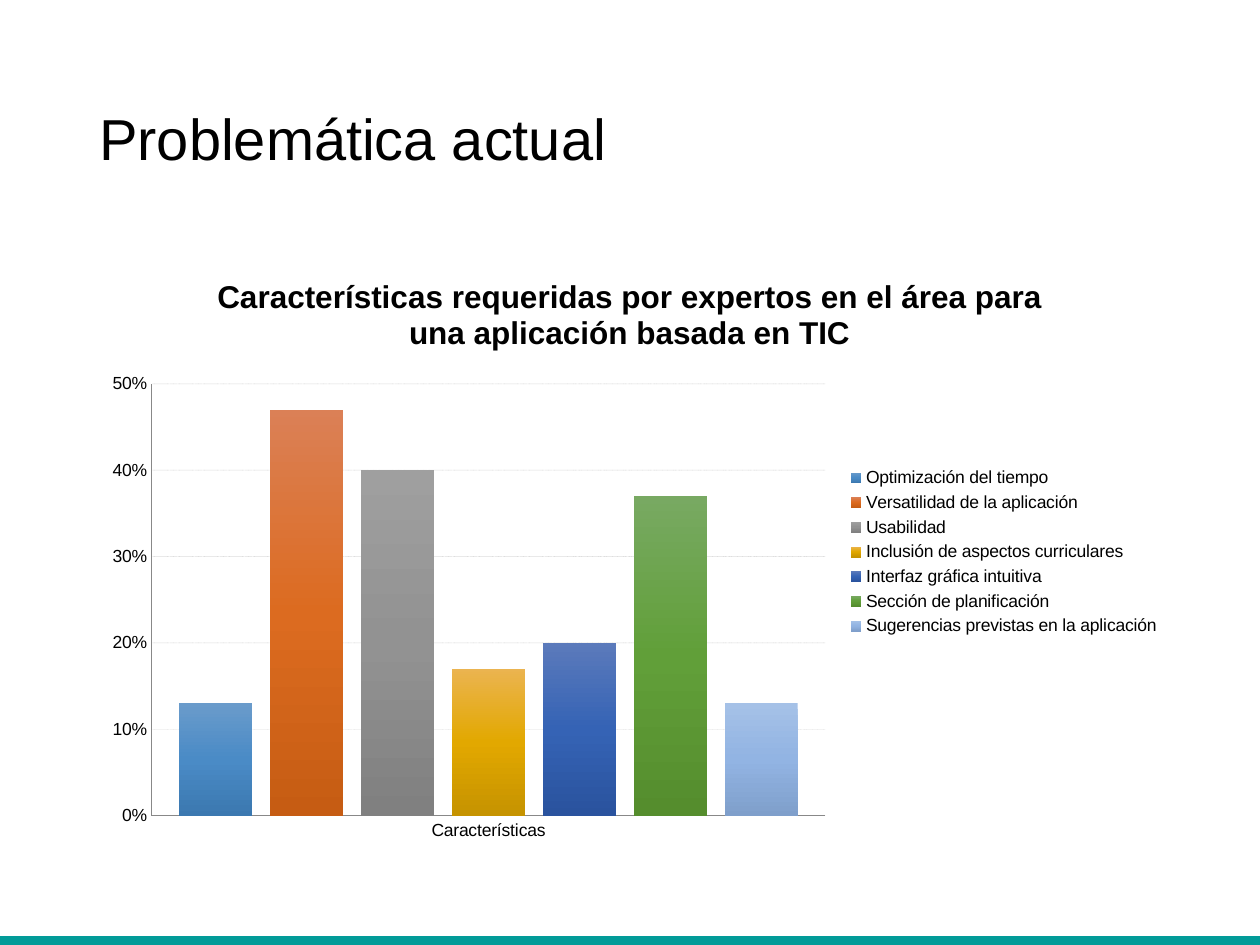
from dataclasses import dataclass

from lxml import etree
from pptx import Presentation, util as u
from pptx.chart import data as chart_data
from pptx.dml import color
from pptx.enum import chart as ce, dml, shapes, text
from pptx.oxml import parse_xml
from pptx.oxml.ns import nsdecls, qn

FONT = "Arial"
BLACK = "000000"
AXIS_GRAY = "888888"
TEAL = "029B98"


@dataclass
class Feature:
    name: str
    share: float
    top: str
    middle: str
    bottom: str


FEATURES = [
    Feature("Optimización del tiempo", 0.13, "6A9BCB", "4A8BC6", "3B78B0"),
    Feature("Versatilidad de la aplicación", 0.47, "DB8056", "DC6B20", "C65C13"),
    Feature("Usabilidad", 0.4, "9F9F9F", "929292", "808080"),
    Feature("Inclusión de aspectos curriculares", 0.17, "EBB450", "E2A800", "C69300"),
    Feature("Interfaz gráfica intuitiva", 0.2, "5B7ABB", "3563B5", "2A539E"),
    Feature("Sección de planificación", 0.37, "78A962", "619F39", "558D2D"),
    Feature("Sugerencias previstas en la aplicación", 0.13, "A5C1E7", "92B4E3", "7F9FCB"),
]


def rgb(value: str) -> color.RGBColor:
    return color.RGBColor.from_string(value)


def style_font(font, size: float, bold: bool = False) -> None:
    font.name = FONT
    font.size = u.Pt(size)
    font.bold = bold
    font.color.rgb = rgb(BLACK)


def place(shape, left: float, top: float, width: float, height: float) -> None:
    shape.left, shape.top = u.Pt(left), u.Pt(top)
    shape.width, shape.height = u.Pt(width), u.Pt(height)


def fill_gradient(series, feature: Feature) -> None:
    """Fill the column from top to bottom with three colours."""
    fill = series.format.fill
    fill.gradient()
    fill.gradient_angle = 270
    stops = series._element.find(".//" + qn("a:gsLst"))
    for stop in list(stops):
        stops.remove(stop)
    for position, value in enumerate((feature.top, feature.middle, feature.bottom)):
        stop = etree.SubElement(stops, qn("a:gs"), pos=str(position * 50000))
        etree.SubElement(stop, qn("a:srgbClr"), val=value)


def set_plot_area(chart, left: float, top: float, width: float, height: float) -> None:
    """Fix the inner plot area, in fractions of the chart."""
    plot_area = chart._chartSpace.chart.plotArea
    for old in plot_area.findall(qn("c:layout")):
        plot_area.remove(old)
    plot_area.insert(0, parse_xml(
        f'<c:layout {nsdecls("c")}><c:manualLayout><c:layoutTarget val="inner"/>'
        '<c:xMode val="edge"/><c:yMode val="edge"/>'
        f'<c:x val="{left}"/><c:y val="{top}"/><c:w val="{width}"/><c:h val="{height}"/>'
        '</c:manualLayout></c:layout>'))


def style_axes(chart) -> None:
    for axis in (chart.category_axis, chart.value_axis):
        axis.major_tick_mark = axis.minor_tick_mark = ce.XL_TICK_MARK.NONE
        axis.format.line.color.rgb = rgb(AXIS_GRAY)
        axis.format.line.width = u.Pt(0.75)
        style_font(axis.tick_labels.font, 10)
    values = chart.value_axis
    values.minimum_scale, values.maximum_scale, values.major_unit = 0, 0.5, 0.1
    values.tick_labels.number_format = "0%"
    values.tick_labels.number_format_is_linked = False
    grid = values.major_gridlines.format.line
    grid.color.rgb = rgb(AXIS_GRAY)
    grid.width = u.Pt(0.25)
    grid.dash_style = dml.MSO_LINE.ROUND_DOT
    grid_color = values.major_gridlines._xAx.find(
        qn("c:majorGridlines")).find(".//" + qn("a:srgbClr"))
    etree.SubElement(grid_color, qn("a:alpha"), val="41000")


def add_feature_chart(page) -> None:
    data = chart_data.CategoryChartData(number_format="0%")
    data.categories = ["Características"]
    for feature in FEATURES:
        data.add_series(feature.name, [feature.share])
    chart = page.shapes.add_chart(
        ce.XL_CHART_TYPE.COLUMN_CLUSTERED,
        u.Pt(49.5), u.Pt(144), u.Pt(620.6), u.Pt(342.7), data).chart
    style_font(chart.font, 10)

    # Heading and legend
    chart.has_title = True
    heading = chart.chart_title.text_frame
    heading.text = ("Características requeridas por expertos en el área para "
                    "una aplicación basada en TIC")
    style_font(heading.paragraphs[0].runs[0].font, 18, bold=True)
    chart.has_legend = True
    chart.legend.position = ce.XL_LEGEND_POSITION.RIGHT
    chart.legend.include_in_layout = False
    style_font(chart.legend.font, 10)

    # Columns
    plot = chart.plots[0]
    plot.gap_width, plot.overlap = 75, -25
    plot.vary_by_categories = False
    for series, feature in zip(plot.series, FEATURES):
        fill_gradient(series, feature)
    style_axes(chart)
    set_plot_area(chart, 0.06, 0.22, 0.62, 0.72)


def main() -> None:
    deck = Presentation()
    deck.slide_width, deck.slide_height = u.Pt(720), u.Pt(540)
    page = deck.slides.add_slide(deck.slide_layouts[5])

    # Bottom band
    band = page.shapes.add_shape(shapes.MSO_SHAPE.RECTANGLE, 0, 0, 0, 0)
    place(band, 0, 535, 720, 5)
    band.shadow.inherit = False
    band.fill.solid()
    band.fill.fore_color.rgb = rgb(TEAL)
    band.line.fill.background()

    # Title
    title = page.shapes.title
    place(title, 49.5, 28.8, 620.6, 104.4)
    title.text_frame.text = "Problemática actual"
    title.text_frame.vertical_anchor = text.MSO_ANCHOR.MIDDLE
    para = title.text_frame.paragraphs[0]
    para.alignment = text.PP_ALIGN.LEFT
    para.line_spacing = 0.9
    style_font(para.runs[0].font, 33)

    add_feature_chart(page)
    deck.save("out.pptx")


if __name__ == "__main__":
    main()
